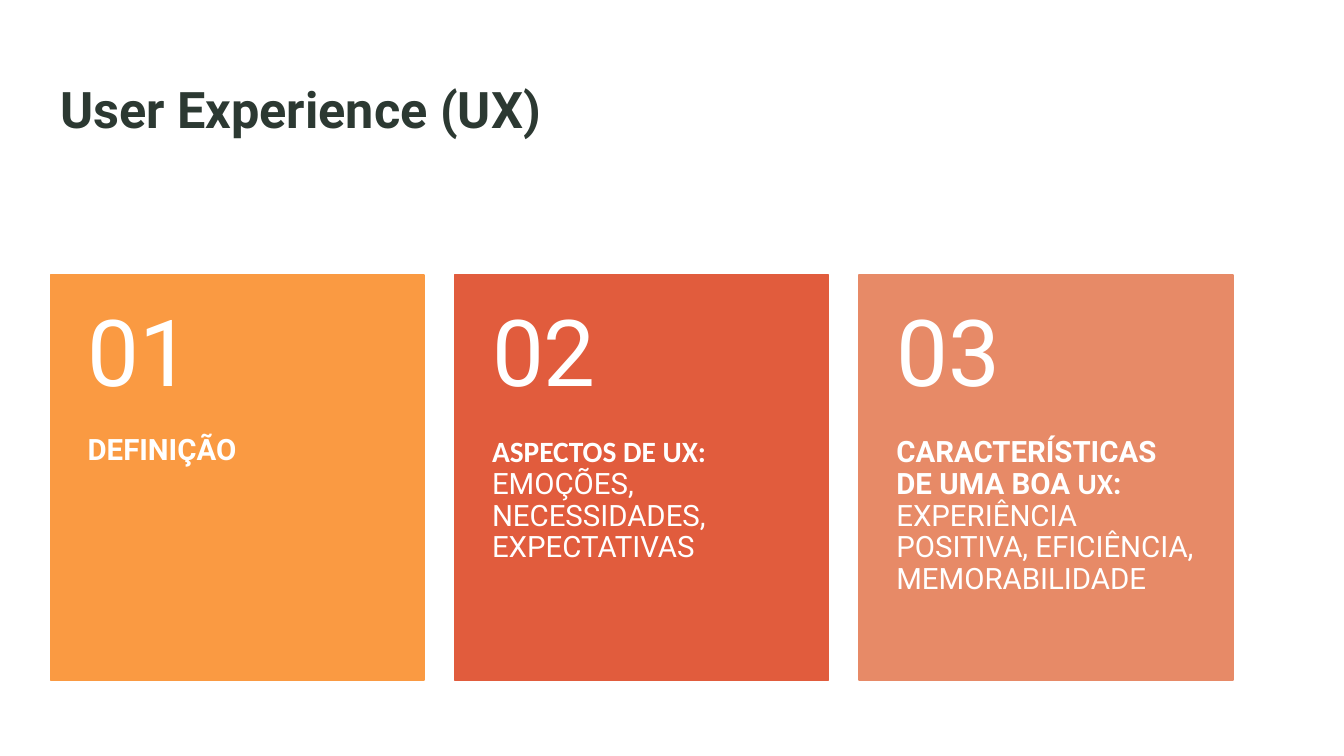
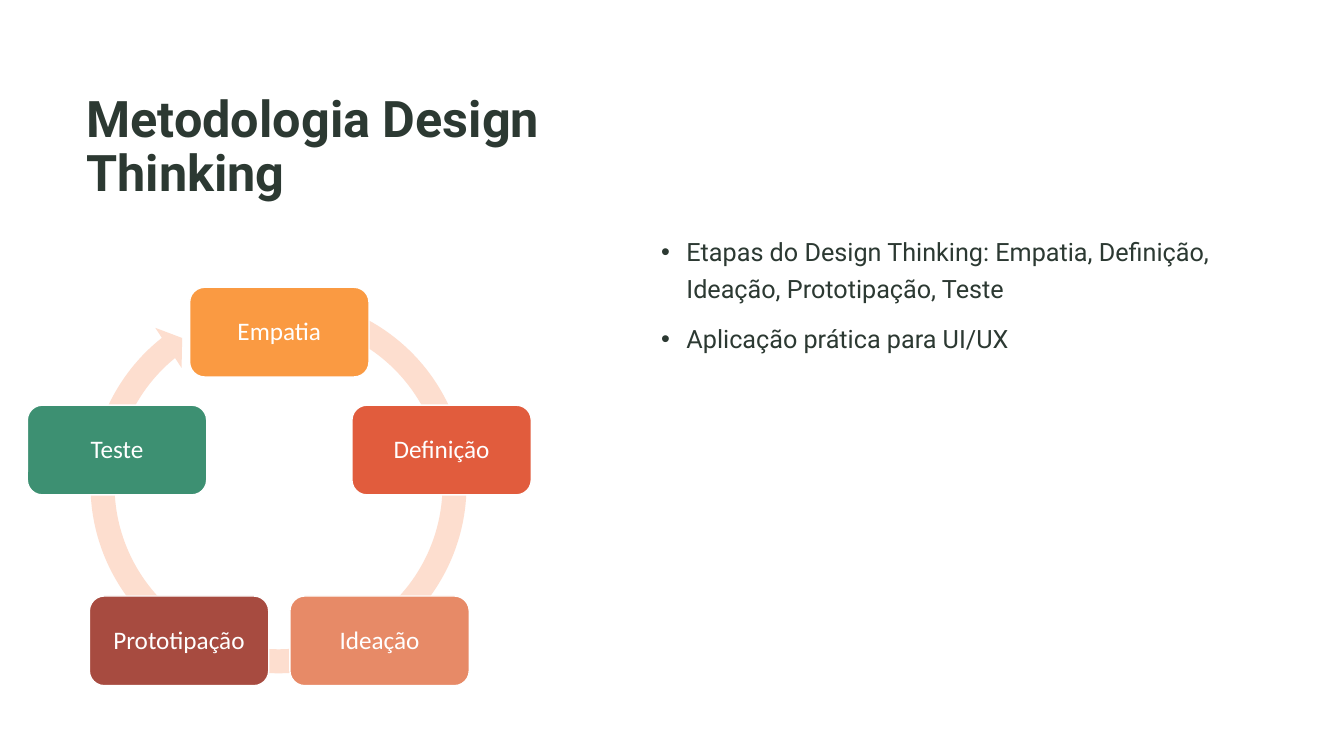
import math

import lxml.etree
import pptx
import pptx.dml.color
import pptx.enum.shapes
import pptx.enum.text
import pptx.oxml.ns
import pptx.util

Cm = pptx.util.Cm
Pt = pptx.util.Pt
SHAPE = pptx.enum.shapes.MSO_SHAPE
ANCHOR = pptx.enum.text.MSO_ANCHOR
ALIGN = pptx.enum.text.PP_ALIGN

COLORS = {
    "ink": "2C3932", "white": "FFFFFF", "amber": "FA9A42", "red": "E15C3D",
    "coral": "E78A67", "brick": "A74B40", "green": "3D9072", "blush": "FDDECF",
}
FORMATS = {
    "title": {"name": "Roboto", "size": Pt(36), "bold": True, "color": "ink"},
    "body": {"name": "Roboto", "size": Pt(18), "color": "ink"},
    "number": {"name": "Roboto", "size": Pt(66), "color": "white"},
    "strong": {"name": "Roboto", "size": Pt(21), "bold": True, "color": "white"},
    "latin": {"name": "Calibri", "size": Pt(21), "bold": True, "color": "white"},
    "plain": {"name": "Roboto", "size": Pt(21), "color": "white"},
    "node": {"name": "Calibri", "size": Pt(18), "color": "white"},
}

TITLES = [
    ("User Experience (UX)", (1.27, 2.01, 29.85, 4.47)),
    ("Metodologia Design Thinking", (1.93, 2.24, 13.08, 7.62)),
]
CARDS = [
    ("amber", [("DEFINIÇÃO", "strong")]),
    ("red", [
        ("ASPECTOS DE UX: ", "latin"),
        ("EMOÇÕES, NECESSIDADES, EXPECTATIVAS", "plain"),
    ]),
    ("coral", [
        ("CARACTERÍSTICAS DE UMA BOA ", "strong"),
        ("UX", "latin"),
        (": ", "strong"),
        ("EXPERIÊNCIA POSITIVA, EFICIÊNCIA, MEMORABILIDADE", "plain"),
    ]),
]
CARD = {"left": 1.27, "top": 6.93, "width": 9.42, "height": 10.21,
        "step": 10.19, "head": 4.09}
POINTS = [
    "Etapas do Design Thinking: Empatia, Definição, Ideação, Prototipação, Teste",
    "Aplicação prática para UI/UX",
]
STEPS = [("Empatia", "amber"), ("Definição", "red"), ("Ideação", "coral"),
         ("Prototipação", "brick"), ("Teste", "green")]
CYCLE = {"x": 7.04, "y": 12.67, "radius": 4.3, "width": 4.52, "height": 2.26}
ARROW = (1.98, 7.19, 10.08, 10.08)
BEND = (0.06, 3.31, 138.78, 173.24, 0.06)


def rgb(name):
    return pptx.dml.color.RGBColor.from_string(COLORS[name])


def write(para, runs, spacing=0.9):
    para.line_spacing = spacing
    for text, style in runs:
        run = para.add_run()
        run.text = text
        for key, value in FORMATS[style].items():
            if key == "color":
                run.font.color.rgb = rgb(value)
            else:
                setattr(run.font, key, value)


def set_frame(frame, insets=None, anchor=ANCHOR.TOP):
    frame.word_wrap = True
    frame.vertical_anchor = anchor
    if insets:
        for side, value in zip(("left", "top", "right", "bottom"), insets):
            setattr(frame, "margin_" + side, Cm(value))
    return frame


def add_text(slide, area, runs, insets=None, anchor=ANCHOR.TOP):
    box = slide.shapes.add_textbox(*map(Cm, area))
    frame = set_frame(box.text_frame, insets, anchor)
    if runs:
        write(frame.paragraphs[0], runs)
    return frame


def add_block(slide, kind, area, fill, line=None):
    block = slide.shapes.add_shape(kind, *map(Cm, area))
    block.shadow.inherit = False
    block.fill.solid()
    block.fill.fore_color.rgb = rgb(fill)
    if line:
        block.line.color.rgb = rgb(line)
        block.line.width = Pt(1)
    else:
        block.line.fill.background()
    return block


def add_cards(slide):
    top, width, head = CARD["top"], CARD["width"], CARD["head"]
    for index, (color, runs) in enumerate(CARDS):
        left = CARD["left"] + index * CARD["step"]
        add_block(slide, SHAPE.RECTANGLE, (left, top, width, CARD["height"]),
                  color, color)
        add_text(slide, (left, top + head, width, CARD["height"] - head), runs,
                 (0.94, 0, 0.94, 0.91))
        add_text(slide, (left, top, width, head),
                 [(f"{index + 1:02}", "number")],
                 (0.94, 0.46, 0.94, 0.46), ANCHOR.MIDDLE)


def add_points(slide):
    frame = add_text(slide, (16.41, 5.69, 16.15, 11.66), [])
    for index, point in enumerate(POINTS):
        para = frame.add_paragraph() if index else frame.paragraphs[0]
        props = para._p.get_or_add_pPr()
        props.set("marL", str(Cm(0.64)))
        props.set("indent", str(-Cm(0.64)))
        for tag, key, value in (("a:buFont", "typeface", "Arial"),
                                ("a:buChar", "char", "•")):
            mark = lxml.etree.SubElement(props, pptx.oxml.ns.qn(tag))
            mark.set(key, value)
        if index:
            para.space_before = Pt(10)
        write(para, [(point, "body")], 1.2)


def add_cycle(slide):
    arrow = add_block(slide, SHAPE.CIRCULAR_ARROW, ARROW, "blush")
    for index, value in enumerate(BEND):
        arrow.adjustments[index] = value
    width, height = CYCLE["width"], CYCLE["height"]
    for index, (label, color) in enumerate(STEPS):
        angle = math.tau * index / len(STEPS)
        left = CYCLE["x"] + CYCLE["radius"] * math.sin(angle) - width / 2
        top = CYCLE["y"] - CYCLE["radius"] * math.cos(angle) - height / 2
        node = add_block(slide, SHAPE.ROUNDED_RECTANGLE,
                         (left, top, width, height), color, "white")
        frame = set_frame(node.text_frame, (0.28,) * 4, ANCHOR.MIDDLE)
        para = frame.paragraphs[0]
        para.alignment = ALIGN.CENTER
        write(para, [(label, "node")])


def main():
    deck = pptx.Presentation()
    deck.slide_width, deck.slide_height = Cm(33.87), Cm(19.05)
    for (title, area), parts in zip(TITLES, [(add_cards,),
                                            (add_points, add_cycle)]):
        slide = deck.slides.add_slide(deck.slide_layouts[6])
        add_text(slide, area, [(title, "title")])
        for part in parts:
            part(slide)
    deck.save("out.pptx")


if __name__ == "__main__":
    main()
